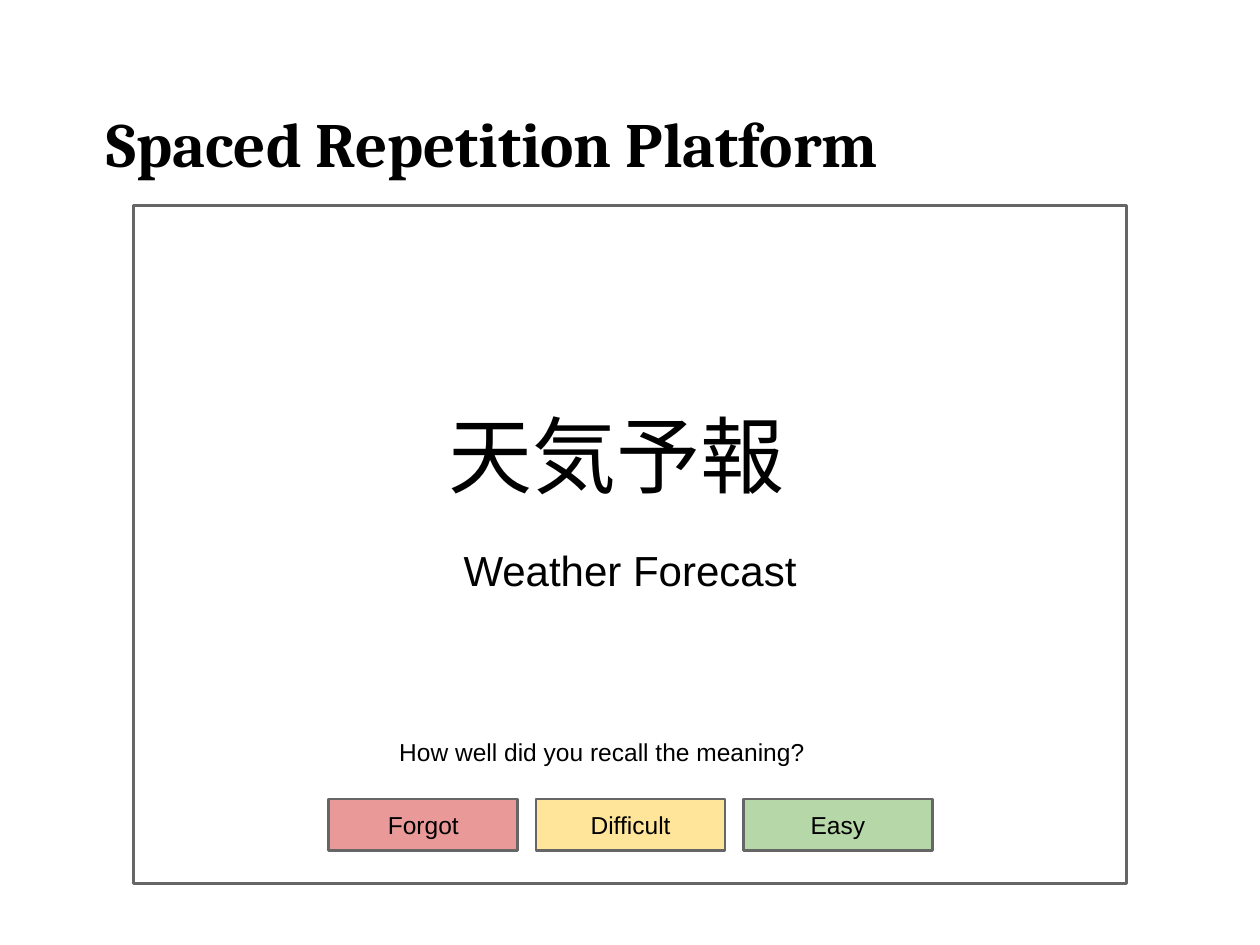
from pptx import Presentation
from pptx.dml.color import RGBColor
from pptx.enum.shapes import MSO_SHAPE
from pptx.enum.text import MSO_ANCHOR, PP_ALIGN
from pptx.util import Inches, Pt

RECT = MSO_SHAPE.RECTANGLE
LEFT, CENTER = PP_ALIGN.LEFT, PP_ALIGN.CENTER
TOP, MIDDLE, BOTTOM = MSO_ANCHOR.TOP, MSO_ANCHOR.MIDDLE, MSO_ANCHOR.BOTTOM

INK, EDGE, WHITE = "000000", "666666", "FFFFFF"
GRADES = [("Forgot", "EA9999"), ("Difficult", "FFE599"), ("Easy", "B6D7A8")]


def color(code):
    return RGBColor.from_string(code)


def write(shape, text, size, align=LEFT, anchor=TOP, font="Arial", bold=False):
    frame = shape.text_frame
    pad = Inches(0.1)
    layout = {"word_wrap": True, "vertical_anchor": anchor,
              "margin_left": pad, "margin_right": pad,
              "margin_top": pad, "margin_bottom": pad}
    for name, value in layout.items():
        setattr(frame, name, value)
    para = frame.paragraphs[0]
    para.alignment = align
    run = para.add_run()
    run.text = text
    for name, value in {"name": font, "size": Pt(size), "bold": bold}.items():
        setattr(run.font, name, value)
    run.font.color.rgb = color(INK)
    return para


def add_label(slide, box, text, size, **style):
    shape = slide.shapes.add_textbox(*map(Inches, box))
    return write(shape, text, size, **style)


def add_panel(slide, box, fill):
    shape = slide.shapes.add_shape(RECT, *map(Inches, box))
    shape.shadow.inherit = False
    shape.fill.solid()
    shape.fill.fore_color.rgb = color(fill)
    shape.line.color.rgb = color(EDGE)
    shape.line.width = Pt(1.5)
    return shape


def add_title(slide, box):
    para = add_label(slide, box, "Spaced Repetition Platform", 36,
                     anchor=BOTTOM, font="Cambria", bold=True)
    # First-line indent
    props = para._p.get_or_add_pPr()
    props.set("marL", "0")
    props.set("indent", str(Inches(0.25)))


def add_grades(slide, box):
    left, top, width, height = box
    wide = 1.5
    step = (width - wide) / (len(GRADES) - 1)
    for i, (text, fill) in enumerate(GRADES):
        button = add_panel(slide, (left + i * step, top, wide, height), fill)
        write(button, text, 14, align=CENTER, anchor=MIDDLE)


def add_card(slide, box):
    left, top, width, height = box
    add_panel(slide, box, WHITE)
    # Word, question and answer buttons
    add_label(slide, (left + 2.4, top + 1.47, 3.07, 1.01), "天気予報", 48)
    add_label(slide, (left + 2.01, top + 4.12, 3.85, 0.45),
              "How well did you recall the meaning?", 14)
    add_grades(slide, (left + 1.55, top + 4.71, 4.79, 0.41))
    # Meaning, centred on the card
    wide = 4.45
    add_label(slide, (left + (width - wide) / 2, top + 2.59, wide, 0.99),
              "Weather Forecast", 24, align=CENTER)


def main():
    deck = Presentation()
    deck.slide_width, deck.slide_height = Inches(10), Inches(7.5)
    slide = deck.slides.add_slide(deck.slide_layouts[6])
    add_title(slide, (0.5, 0.72, 9, 0.81))
    add_card(slide, (1.06, 1.63, 7.88, 5.38))
    deck.save("out.pptx")


if __name__ == "__main__":
    main()
